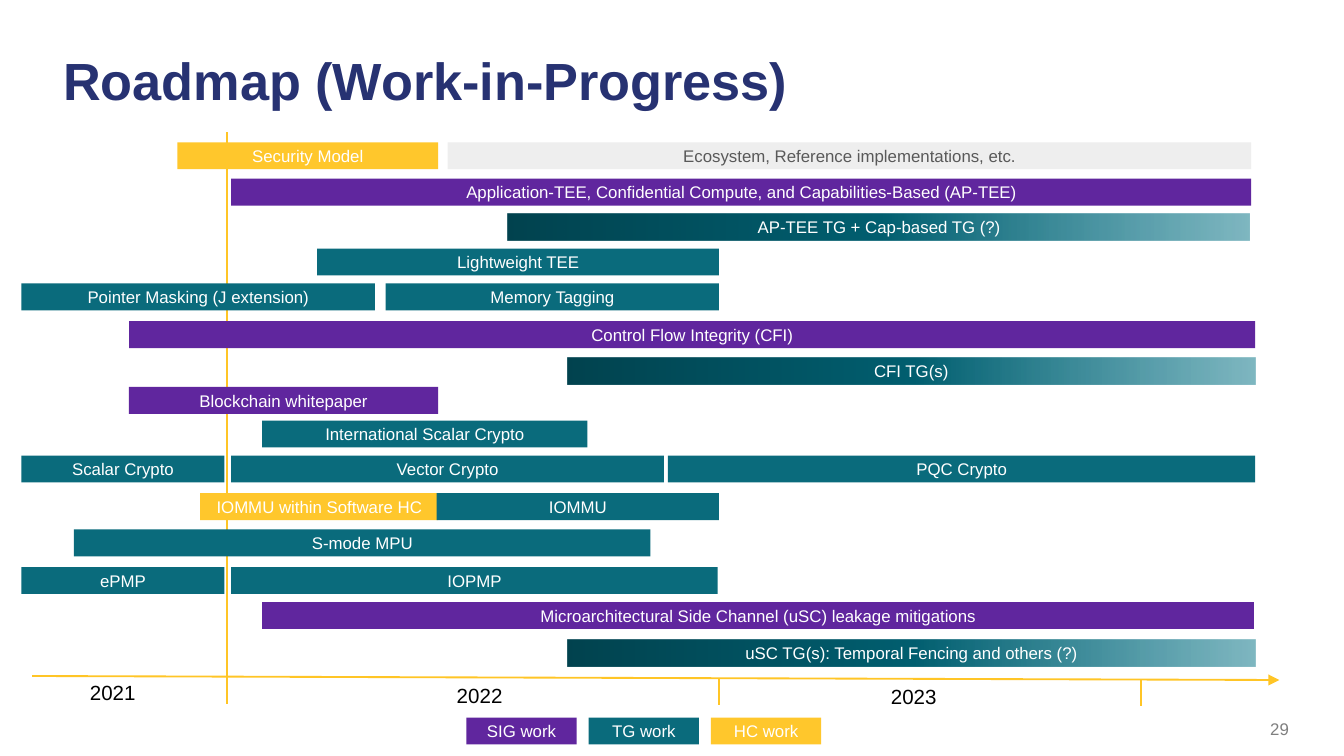
from dataclasses import dataclass

from lxml.etree import SubElement
from pptx import Presentation
from pptx.dml.color import RGBColor
from pptx.enum.shapes import MSO_CONNECTOR, MSO_SHAPE
from pptx.enum.text import MSO_ANCHOR, MSO_AUTO_SIZE, PP_ALIGN
from pptx.oxml import parse_xml
from pptx.oxml.ns import nsdecls, qn
from pptx.util import Inches, Pt


@dataclass(frozen=True)
class Theme:
    font: str = "Arial"
    title: str = "273272"
    axis: str = "FFC526"
    year: str = "000000"
    number: str = "7F7F7F"
    title_size: int = 28
    year_size: int = 11
    label_size: int = 9


THEME = Theme()

# Kind of work: (fill, text colour); a list of fills is a gradient of (position, colour, alpha)
FADE = [(0, "01434F", 100), (50, "015F70", 100), (100, "017185", 50)]
KINDS = {
    "SIG": ("60269E", "FFFFFF"),
    "TG": ("0A6B7C", "FFFFFF"),
    "HC": ("FFC72C", "FFFFFF"),
    "future": (FADE, "FFFFFF"),
    "ecosystem": ("EEEEEE", "595959"),
}

TITLE = "Roadmap (Work-in-Progress)"
PAGE_NUMBER = "29"

# Row top, then its bars: (label, kind, left, right)
ROWS = [
    (1.06, [("Security Model", "HC", 1.32, 3.26),
            ("Ecosystem, Reference implementations, etc.", "ecosystem", 3.33, 9.31)]),
    (1.33, [("Application-TEE, Confidential Compute, and Capabilities-Based (AP-TEE)",
             "SIG", 1.72, 9.31)]),
    (1.59, [("AP-TEE TG + Cap-based TG (?)", "future", 3.78, 9.3)]),
    (1.85, [("Lightweight TEE", "TG", 2.36, 5.35)]),
    (2.11, [("Pointer Masking (J extension)", "TG", 0.16, 2.79),
            ("Memory Tagging", "TG", 2.87, 5.35)]),
    (2.39, [("Control Flow Integrity (CFI)", "SIG", 0.96, 9.34)]),
    (2.66, [("CFI TG(s)", "future", 4.22, 9.34)]),
    (2.88, [("Blockchain whitepaper", "SIG", 0.96, 3.26)]),
    (3.13, [("International Scalar Crypto", "TG", 1.95, 4.37)]),
    (3.39, [("Scalar Crypto", "TG", 0.16, 1.67),
            ("Vector Crypto", "TG", 1.72, 4.94),
            ("PQC Crypto", "TG", 4.97, 9.34)]),
    (3.67, [("IOMMU within Software HC", "HC", 1.49, 3.26),
            ("IOMMU", "TG", 3.25, 5.35)]),
    (3.94, [("S-mode MPU", "TG", 0.55, 4.84)]),
    (4.22, [("ePMP", "TG", 0.16, 1.67), ("IOPMP", "TG", 1.72, 5.34)]),
    (4.48, [("Microarchitectural Side Channel (uSC) leakage mitigations",
             "SIG", 1.95, 9.33)]),
    (4.76, [("uSC TG(s): Temporal Fencing and others (?)", "future", 4.22, 9.34)]),
]
BAR_HEIGHT = 0.2

LEGEND = ["SIG", "TG", "HC"]
LEGEND_LEFT, LEGEND_TOP, LEGEND_STEP, LEGEND_WIDTH = 3.47, 5.34, 0.91, 0.82

YEARS = [("2021", 0.57, 5.01), ("2022", 3.3, 5.03), ("2023", 6.53, 5.04)]
AXIS_START, AXIS_END = (0.24, 5.03), (9.52, 5.06)
TODAY_X, TODAY_TOP = 1.69, 0.98
YEAR_TICKS = [TODAY_X, 5.35, 8.49]
TICK_HEIGHT = 0.2


def write(tf, text, size, color, align=PP_ALIGN.LEFT, bold=False):
    p = tf.paragraphs[0]
    p.alignment = align
    r = p.add_run()
    r.text = text
    r.font.name, r.font.size, r.font.bold = THEME.font, Pt(size), bold
    r.font.color.rgb = RGBColor.from_string(color)
    return p


def set_insets(tf, x, y):
    tf.margin_left = tf.margin_right = Inches(x)
    tf.margin_top = tf.margin_bottom = Inches(y)


def fill_gradient(s, stops):
    """Fill a shape with a left-to-right gradient, each stop with its own opacity."""
    grad = parse_xml(f'<a:gradFill {nsdecls("a")}><a:gsLst/><a:lin ang="0"/></a:gradFill>')
    for position, color, alpha in stops:
        gs = SubElement(grad[0], qn("a:gs"), pos=str(position * 1000))
        rgb = SubElement(gs, qn("a:srgbClr"), val=color)
        SubElement(rgb, qn("a:alpha"), val=str(alpha * 1000))
    s._element.spPr.find(qn("a:prstGeom")).addnext(grad)


def add_bar(slide, label, kind, left, top, width):
    fill, color = KINDS[kind]
    s = slide.shapes.add_shape(MSO_SHAPE.RECTANGLE, Inches(left), Inches(top),
                               Inches(width), Inches(BAR_HEIGHT))
    s.shadow.inherit = False
    s.line.fill.background()
    if isinstance(fill, list):
        fill_gradient(s, fill)
    else:
        s.fill.solid()
        s.fill.fore_color.rgb = RGBColor.from_string(fill)
    tf = s.text_frame
    tf.vertical_anchor = MSO_ANCHOR.MIDDLE
    set_insets(tf, 0, 0)
    write(tf, label, THEME.label_size, color, PP_ALIGN.CENTER)


def add_line(slide, start, end, width, arrow=False):
    c = slide.shapes.add_connector(MSO_CONNECTOR.STRAIGHT,
                                   *(Inches(v) for v in (*start, *end)))
    c.line.color.rgb = RGBColor.from_string(THEME.axis)
    c.line.width = Pt(width)
    sp_pr = c._element.spPr
    if arrow:
        SubElement(sp_pr.find(qn("a:ln")), qn("a:tailEnd"), type="triangle")
    SubElement(sp_pr, qn("a:effectLst"))


def add_title(slide):
    s = slide.shapes.title
    s.left, s.top, s.width, s.height = (Inches(v) for v in (0.4, 0.24, 8.77, 0.75))
    tf = s.text_frame
    tf.auto_size = MSO_AUTO_SIZE.NONE
    tf.vertical_anchor = MSO_ANCHOR.MIDDLE
    set_insets(tf, 0.07, 0.04)
    p = write(tf, TITLE, THEME.title_size, THEME.title, bold=True)
    p.line_spacing = 0.95


def add_timeline(slide):
    (x0, y0), (x1, y1) = AXIS_START, AXIS_END

    def axis_y(x):
        return y0 + (y1 - y0) * (x - x0) / (x1 - x0)

    add_line(slide, AXIS_START, AXIS_END, 1, arrow=True)
    add_line(slide, (TODAY_X, axis_y(TODAY_X)), (TODAY_X, TODAY_TOP), 1)
    for x in YEAR_TICKS:
        add_line(slide, (x, axis_y(x)), (x, axis_y(x) + TICK_HEIGHT), 0.75)
    for year, left, top in YEARS:
        s = slide.shapes.add_textbox(Inches(left), Inches(top), Inches(0.55), Inches(0.29))
        s.text_frame.word_wrap = False
        write(s.text_frame, year, THEME.year_size, THEME.year)


def add_page_number(slide):
    s = slide.shapes.add_textbox(Inches(7.33), Inches(5.29), Inches(2.33), Inches(0.25))
    tf = s.text_frame
    tf.word_wrap = True
    tf.vertical_anchor = MSO_ANCHOR.BOTTOM
    set_insets(tf, 0.07, 0.04)
    write(tf, PAGE_NUMBER, THEME.label_size, THEME.number, PP_ALIGN.RIGHT)


def main():
    prs = Presentation()
    prs.slide_width = Inches(10)
    prs.slide_height = prs.slide_width * 9 // 16
    slide = prs.slides.add_slide(prs.slide_layouts[5])
    add_title(slide)
    add_timeline(slide)
    for top, bars in ROWS:
        for label, kind, left, right in bars:
            add_bar(slide, label, kind, left, top, right - left)
    for i, kind in enumerate(LEGEND):
        add_bar(slide, f"{kind} work", kind, LEGEND_LEFT + i * LEGEND_STEP,
                LEGEND_TOP, LEGEND_WIDTH)
    add_page_number(slide)
    prs.save("out.pptx")


if __name__ == "__main__":
    main()
